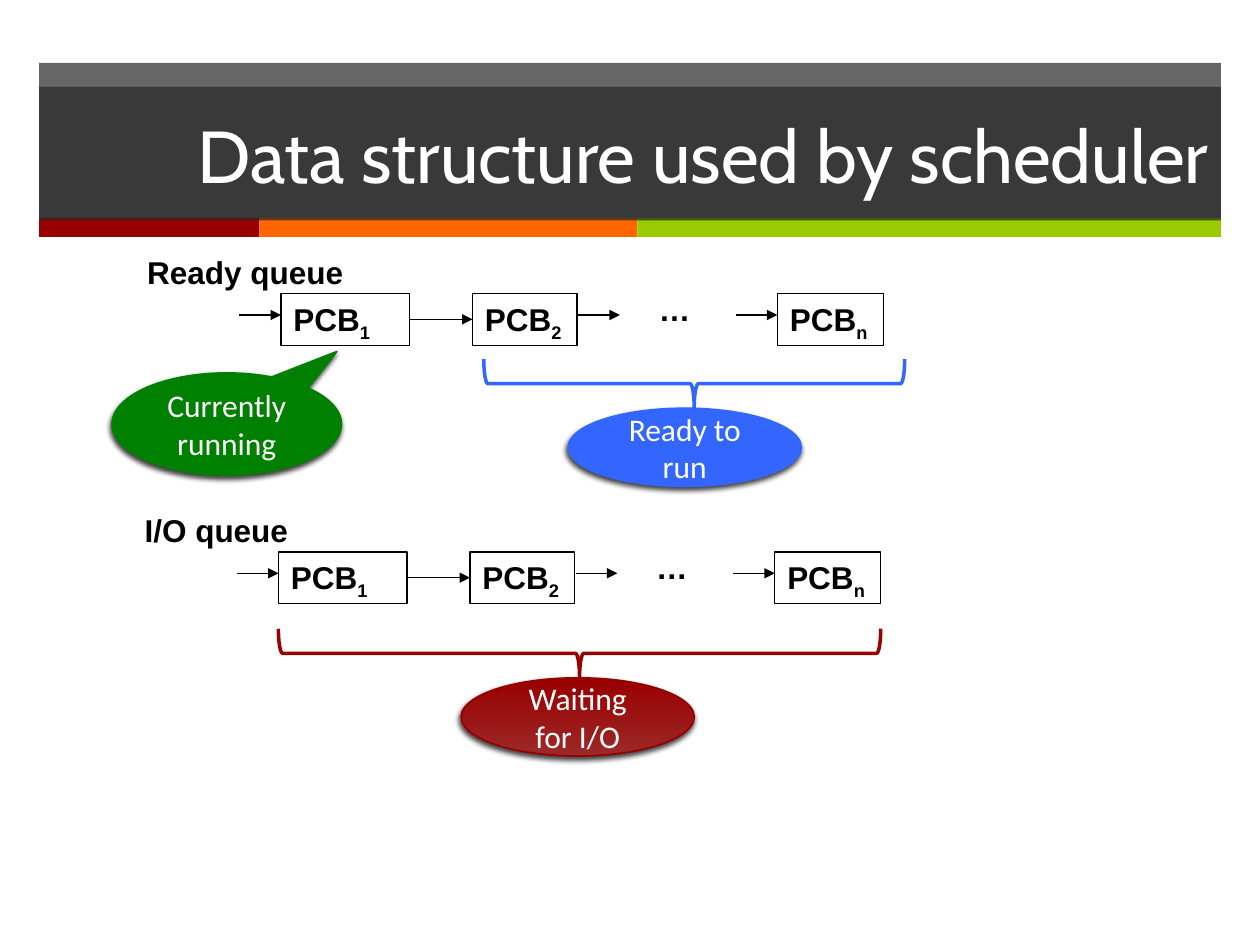
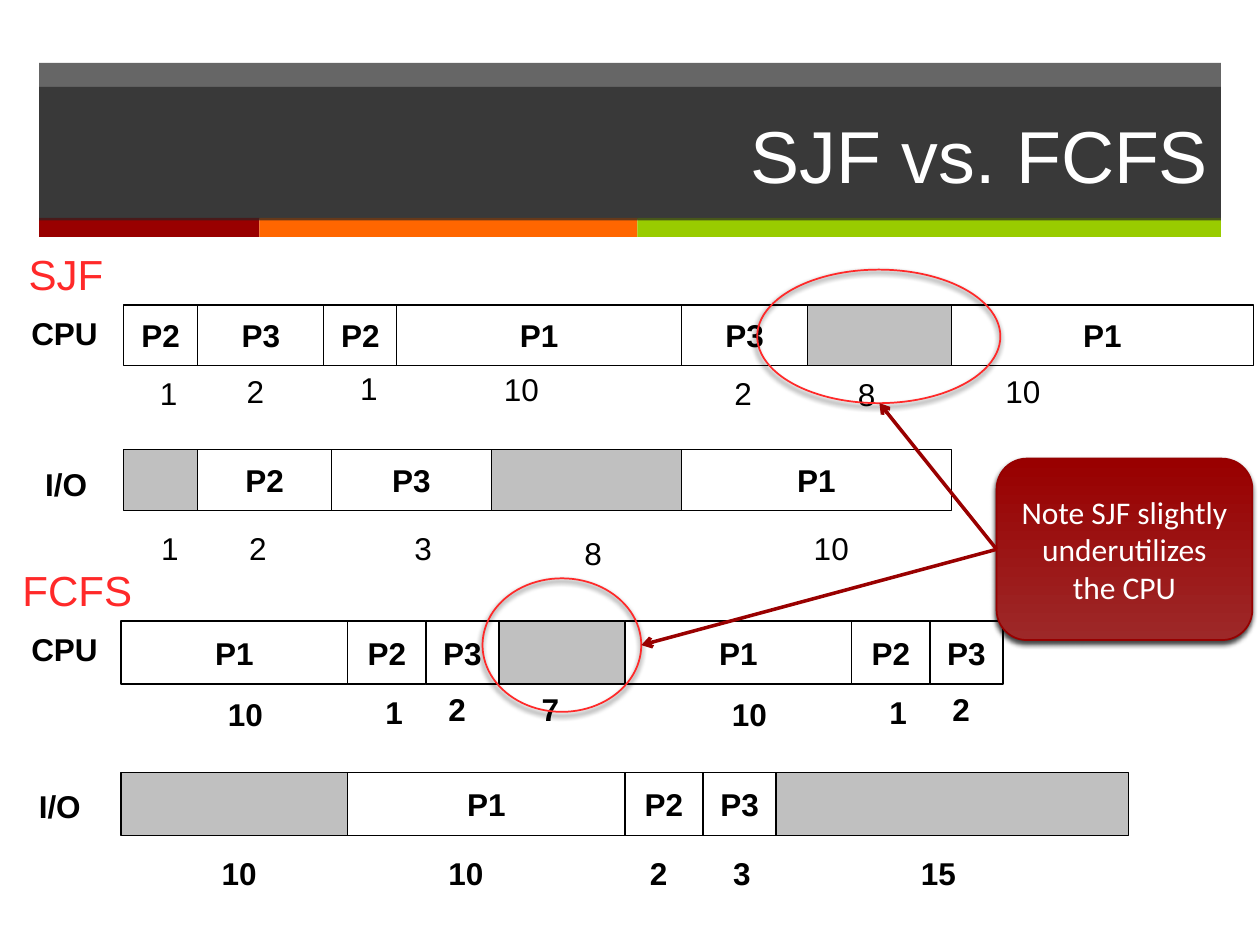
import pptx
import pptx.util
import pptx.dml.color
import pptx.enum.dml
import pptx.enum.shapes
import pptx.enum.text
import pptx.oxml.ns
from lxml import etree

Inches, Pt = pptx.util.Inches, pptx.util.Pt
RGBColor = pptx.dml.color.RGBColor
Shape = pptx.enum.shapes.MSO_SHAPE
Align = pptx.enum.text.PP_ALIGN
Anchor = pptx.enum.text.MSO_ANCHOR
Fit = pptx.enum.text.MSO_AUTO_SIZE
qn = pptx.oxml.ns.qn

BLACK = RGBColor(0x00, 0x00, 0x00)
WHITE = RGBColor(0xFF, 0xFF, 0xFF)
DARK = RGBColor(0x26, 0x26, 0x26)
GRAY = RGBColor(0xC0, 0xC0, 0xC0)
WINE = RGBColor(0x99, 0x00, 0x00)
ROSE = RGBColor(0x9D, 0x28, 0x28)
EDGE = RGBColor(0x96, 0x00, 0x00)
RED = RGBColor(0xFF, 0x29, 0x29)
ORANGE = RGBColor(0xFF, 0x66, 0x00)
LIME = RGBColor(0x99, 0xCC, 0x00)
GREEN = RGBColor(0x00, 0x80, 0x00)
BLUE = RGBColor(0x33, 0x66, 0xFF)

STRIPES = [(WINE, 1.75), (ORANGE, 3), (LIME, 4.63)]

# Cells of a timeline: name (empty when idle), width, time, offset of the time
SJF_CPU = [("P2", 0.59, "1", 0.19, 0.5), ("P3", 1, "2", 0.29, 0.48),
           ("P2", 0.58, "1", 0.19, 0.46), ("P1", 2.26, "10", 0.75, 0.47),
           ("P3", 1, "2", 0.32, 0.5), ("", 1.14, "8", 0.3, 0.51),
           ("P1", 2.4, "10", 0.33, 0.48)]
SJF_IO = [("", 0.59, "1", 0.2, 0.58), ("P2", 1.06, "2", 0.31, 0.58),
          ("P3", 1.27, "3", 0.56, 0.58), ("", 1.51, "8", 0.64, 0.62),
          ("P1", 2.14, "10", 0.95, 0.58)]
BURST = [("P1", 1.8, "10", 0.75, 0.54), ("P2", 0.62, "1", 0.2, 0.52),
         ("P3", 0.58, "2", 0.08, 0.5)]
FCFS_CPU = BURST + [("", 1, "7", 0.24, 0.5)] + BURST
FCFS_IO = [("", 1.8, "10", 0.7, 0.6), ("P1", 2.2, "10", 0.7, 0.6),
           ("P2", 0.62, "2", 0.1, 0.6), ("P3", 0.58, "3", 0.14, 0.6),
           ("", 2.8, "15", 1.05, 0.6)]


def style(text, size, font, color, bold=False):
    for run in text.runs:
        run.font.size = Pt(size)
        run.font.name = font
        run.font.color.rgb = color
        run.font.bold = bold


def fade(shape, percent):
    """Make the solid fill of a shape partly transparent."""
    color = shape.fill._xPr.find(qn("a:solidFill"))[0]
    etree.SubElement(color, qn("a:alpha"), val=str(percent * 1000))


def cast(shape):
    """Give a shape a soft shadow below it."""
    effects = shape._element.spPr.find(qn("a:effectLst"))
    shade = etree.SubElement(effects, qn("a:outerShdw"), blurRad=str(Pt(3)),
                             dist=str(Pt(2)), dir="6600000", rotWithShape="0")
    color = etree.SubElement(shade, qn("a:srgbClr"), val=str(BLACK))
    etree.SubElement(color, qn("a:alpha"), val="75000")


def draw(slide, kind, box, fill=None, line=None, width=0.75):
    shape = slide.shapes.add_shape(kind, *map(Inches, box))
    shape.shadow.inherit = False
    if fill is None:
        shape.fill.background()
    else:
        shape.fill.solid()
        shape.fill.fore_color.rgb = fill
    if line is None:
        shape.line.fill.background()
    else:
        shape.line.color.rgb = line
        shape.line.width = Pt(width)
    return shape


def arrow(slide, start, end, color=BLACK, width=0.75, tip="triangle"):
    link = slide.shapes.add_connector(pptx.enum.shapes.MSO_CONNECTOR.STRAIGHT,
                                      *map(Inches, start + end))
    link.line.color.rgb = color
    link.line.width = Pt(width)
    etree.SubElement(link.line._get_or_add_ln(), qn("a:tailEnd"), type=tip)
    etree.SubElement(link._element.spPr, qn("a:effectLst"))
    return link


def label(slide, x, y, width, text, size=18, color=BLACK, bold=True):
    height = 0.5 if size > 18 else 0.4
    box = slide.shapes.add_textbox(*map(Inches, (x, y, width, height)))
    frame = box.text_frame
    frame.text = text
    frame.word_wrap = False
    frame.auto_size = Fit.SHAPE_TO_FIT_TEXT
    style(frame.paragraphs[0], size, "Arial", color, bold)


def bubble(slide, kind, box, text, fill, line):
    """Draw a shadowed callout; a wine one gets a gradient."""
    shape = draw(slide, kind, box, fill, line, 1)
    if fill == WINE:
        shape.fill.gradient()
        shape.fill.gradient_angle = 90
        for stop, color in zip(shape.fill.gradient_stops, (ROSE, WINE)):
            stop.color.rgb = color
    cast(shape)
    frame = shape.text_frame
    frame.text = text
    frame.word_wrap = True
    frame.vertical_anchor = Anchor.MIDDLE
    frame.paragraphs[0].alignment = Align.CENTER
    style(frame.paragraphs[0], 18, "Calibri", WHITE)
    return shape


def brace(slide, x, y, width, height, color):
    """Draw a brace that spans the given box and points down."""
    left, top = x + (width - height) / 2, y + (height - width) / 2
    shape = draw(slide, Shape.LEFT_BRACE, (left, top, height, width),
                 None, color, 2)
    shape.rotation = 270


def start(deck, text, font):
    """Add a slide with the title band and the coloured stripes."""
    slide = deck.slides.add_slide(deck.slide_layouts[5])
    fade(draw(slide, Shape.RECTANGLE, (0.31, 0.5, 9.38, 1.24), DARK), 70)
    x = 0.31
    for color, width in STRIPES:
        draw(slide, Shape.RECTANGLE, (x, 1.73, width, 0.15), color)
        x += width
    title = slide.shapes.title
    slide.shapes._spTree.append(title._element)
    title.left, title.top, title.width, title.height = map(
        Inches, (0.31, 0.69, 9.38, 1.06))
    title.fill.solid()
    title.fill.fore_color.rgb = DARK
    fade(title, 70)
    frame = title.text_frame
    frame.text = text
    frame.auto_size = Fit.NONE
    frame.vertical_anchor = Anchor.MIDDLE
    frame.paragraphs[0].alignment = Align.RIGHT
    style(frame.paragraphs[0], 42, font, WHITE)
    return slide


def block(slide, x, y, width, index):
    shape = draw(slide, Shape.RECTANGLE, (x, y, width, 0.41), None, BLACK)
    frame = shape.text_frame
    frame.word_wrap = False
    frame.auto_size = Fit.SHAPE_TO_FIT_TEXT
    frame.vertical_anchor = Anchor.TOP
    text = frame.paragraphs[0]
    text.text = "PCB"
    text.alignment = Align.LEFT
    sub = text.add_run()
    sub.text = index
    style(text, 18, "Arial", BLACK, True)
    sub.font._element.set("baseline", "-25000")
    return shape


def queue(slide, x, y, name, width):
    label(slide, x, y, width, name)
    label(slide, x + 4.06, y + 0.29, 0.45, "…")
    first, second, _ = [block(slide, x + dx, y + 0.37, wide, index)
                        for dx, wide, index in ((1.16, 1.02, "1"),
                                                (2.68, 0.83, "2"),
                                                (5.1, 0.84, "n"))]
    link = arrow(slide, (x + 2.18, y + 0.58), (x + 2.68, y + 0.58))
    link.begin_connect(first, 3)
    link.end_connect(second, 1)
    for dx in (0.83, 3.52, 4.77):
        arrow(slide, (x + dx, y + 0.54), (x + dx + 0.33, y + 0.54))


def row(slide, x, y, height, cells, bold):
    """Draw a timeline of adjoining cells with their times below."""
    for name, width, time, dx, dy in cells:
        cell = draw(slide, Shape.RECTANGLE, (x, y, width, height),
                    None if name else GRAY, BLACK)
        if name:
            frame = cell.text_frame
            frame.text = name
            frame.word_wrap = False
            frame.vertical_anchor = Anchor.MIDDLE
            frame.paragraphs[0].alignment = Align.CENTER
            style(frame.paragraphs[0], 18, "Arial", BLACK, True)
        label(slide, x + dx, y + dy, 0.2 + 0.14 * len(time), time, bold=bold)
        x += width


def queues(deck):
    slide = start(deck, "Data structure used by scheduler", "Cabin")
    queue(slide, 1.07, 1.96, "Ready queue", 1.76)
    queue(slide, 1.05, 4.01, "I/O queue", 1.34)
    run = bubble(slide, Shape.OVAL_CALLOUT, (0.89, 2.96, 1.82, 0.81),
                 "Currently running", GREEN, GREEN)
    run.adjustments[0], run.adjustments[1] = 0.48, -0.71
    brace(slide, 3.84, 2.85, 3.34, 0.39, BLUE)
    bubble(slide, Shape.OVAL, (4.51, 3.24, 1.85, 0.62),
           "Ready to run", BLUE, BLUE)
    brace(slide, 2.21, 4.99, 4.78, 0.39, WINE)
    bubble(slide, Shape.OVAL, (3.66, 5.38, 1.85, 0.62),
           "Waiting for I/O", WINE, EDGE)


def times(deck):
    slide = start(deck, "SJF vs. FCFS", "Arial")
    row(slide, 0.98, 2.42, 0.48, SJF_CPU, False)
    row(slide, 0.98, 3.57, 0.48, SJF_IO, False)
    row(slide, 0.96, 4.93, 0.5, FCFS_CPU, True)
    row(slide, 0.96, 6.13, 0.5, FCFS_IO, True)
    for x, y, name in ((0.15, 2.44, "CPU"), (0.26, 3.64, "I/O"),
                       (0.15, 4.95, "CPU"), (0.21, 6.2, "I/O")):
        label(slide, x, y, 0.8, name)
    label(slide, 0.13, 1.92, 1.5, "SJF", 24, RED, False)
    label(slide, 0.08, 4.43, 1.5, "FCFS", 24, RED, False)
    for box in ((3.83, 4.59, 1.26, 1.06), (6.01, 2.14, 1.93, 1.06)):
        cast(draw(slide, Shape.OVAL, box, None, RED, 1))
    note = bubble(slide, Shape.ROUNDED_RECTANGLE, (7.91, 3.64, 2.03, 1.44),
                  "Note SJF slightly underutilizes the CPU", WINE, EDGE)
    for end in ((6.98, 3.2), (5.09, 5.12)):
        link = arrow(slide, (7.91, 4.36), end, WINE, 2, "arrow")
        link.begin_connect(note, 1)


def main():
    deck = pptx.Presentation()
    deck.slide_width, deck.slide_height = Inches(10), Inches(7.5)
    queues(deck)
    times(deck)
    deck.save("out.pptx")


if __name__ == "__main__":
    main()
